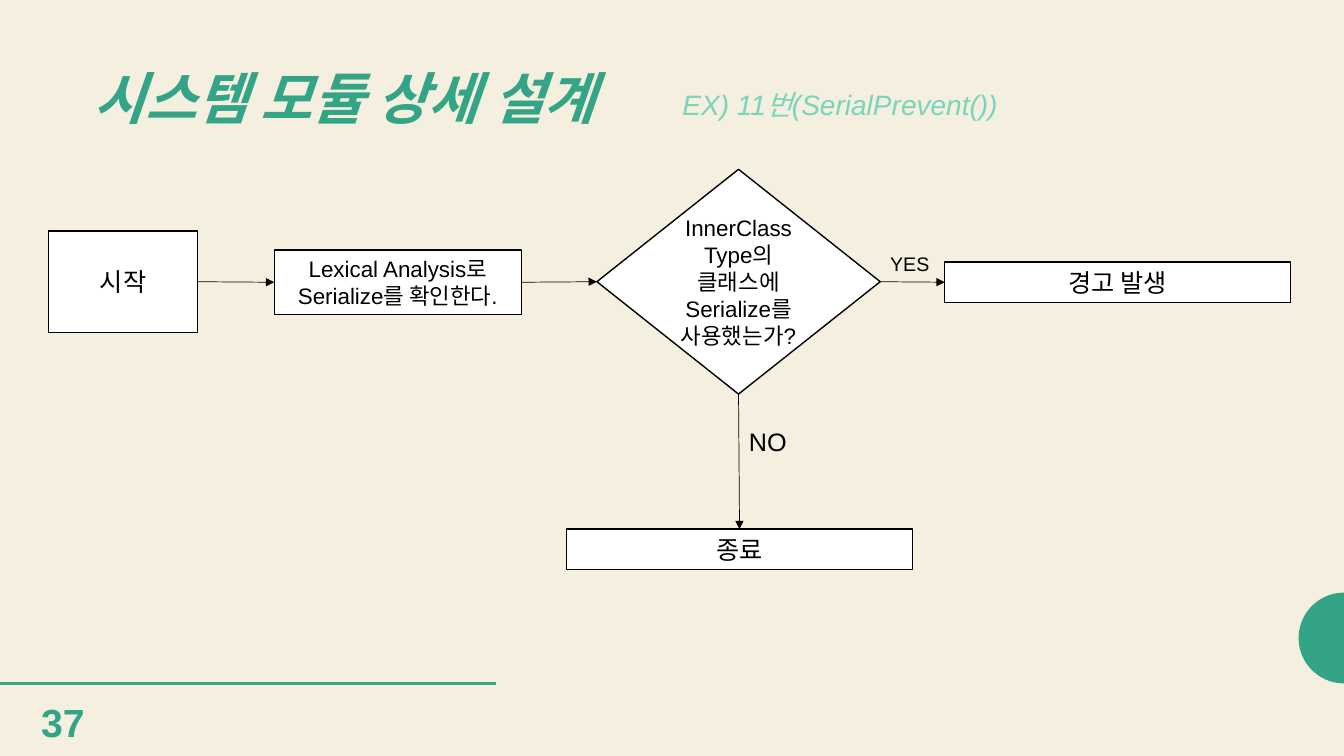
import math
from dataclasses import dataclass

from lxml import etree
from pptx import Presentation
from pptx.dml.color import RGBColor
from pptx.enum.shapes import MSO_CONNECTOR, MSO_SHAPE
from pptx.enum.text import MSO_ANCHOR, PP_ALIGN
from pptx.oxml.ns import qn
from pptx.shapes.autoshape import Shape
from pptx.shapes.connector import Connector
from pptx.slide import Slide
from pptx.util import Inches, Pt

RECTANGLE = MSO_SHAPE.RECTANGLE
DIAMOND = MSO_SHAPE.DIAMOND
STRAIGHT = MSO_CONNECTOR.STRAIGHT
TOP = MSO_ANCHOR.TOP
MIDDLE = MSO_ANCHOR.MIDDLE
LEFT = PP_ALIGN.LEFT
CENTER = PP_ALIGN.CENTER

CREAM = RGBColor(0xF4, 0xEF, 0xDF)
GREEN = RGBColor(0x33, 0xA4, 0x85)
MINT = RGBColor(0x78, 0xD5, 0xBB)
WHITE = RGBColor(0xFF, 0xFF, 0xFF)
BLACK = RGBColor(0, 0, 0)

FONT = "Arial"
SLIDE_WIDTH = 13.33
LEFT_SITE, BOTTOM_SITE, RIGHT_SITE, TOP_SITE = 1, 2, 3, 0


@dataclass(frozen=True)
class Step:
    name: str
    text: str
    left: float
    top: float
    width: float
    height: float
    size: int = 18
    preset: MSO_SHAPE = RECTANGLE


@dataclass(frozen=True)
class Flow:
    source: str
    source_site: int
    target: str
    target_site: int


@dataclass(frozen=True)
class Label:
    text: str
    left: float
    top: float
    width: float
    height: float
    size: int
    color: RGBColor = BLACK
    bold: bool = False
    italic: bool = False


STEPS = [
    Step("start", "시작", 0.48, 2.29, 1.48, 1.01),
    Step("analysis", "Lexical Analysis로 Serialize를 확인한다.", 2.72, 2.48, 2.45, 0.64, 16),
    Step("check", "InnerClass Type의 클래스에 Serialize를 사용했는가?",
         5.92, 1.68, 2.81, 2.23, 16, DIAMOND),
    Step("warning", "경고 발생", 9.37, 2.6, 3.43, 0.4),
    Step("end", "종료", 5.62, 5.25, 3.43, 0.4),
]

FLOWS = [
    Flow("start", RIGHT_SITE, "analysis", LEFT_SITE),
    Flow("analysis", RIGHT_SITE, "check", LEFT_SITE),
    Flow("check", RIGHT_SITE, "warning", LEFT_SITE),
    Flow("check", BOTTOM_SITE, "end", TOP_SITE),
]

LABELS = [
    Label("EX) 11번(SerialPrevent())", 6.67, 0.82, 4.95, 0.59, 20, MINT, italic=True),
    Label("37", 0.31, 6.88, 0.74, 0.57, 28, GREEN, bold=True),
    Label("YES", 8.73, 2.45, 0.61, 0.34, 14),
    Label("NO", 7.33, 4.18, 0.61, 0.4, 18),
]
TITLE = Label("시스템 모듈 상세 설계", 0.83, 0.61, 5.7, 0.79, 40, GREEN, True, True)


def write(box: Shape, label: Label | Step, color: RGBColor, align: PP_ALIGN,
          anchor: MSO_ANCHOR, bold: bool = False, italic: bool = False) -> None:
    frame = box.text_frame
    frame.word_wrap = True
    frame.vertical_anchor = anchor
    para = frame.paragraphs[0]
    para.text = label.text
    para.alignment = align
    para.font.name = FONT
    para.font.size = Pt(label.size)
    para.font.bold = bold
    para.font.italic = italic
    para.font.color.rgb = color


def frame_of(item: Label | Step) -> list[int]:
    return [Inches(value) for value in (item.left, item.top, item.width, item.height)]


def add_title(page: Slide) -> None:
    title = page.shapes.title
    title.left, title.top, title.width, title.height = frame_of(TITLE)
    write(title, TITLE, TITLE.color, LEFT, MIDDLE, TITLE.bold, TITLE.italic)
    title.text_frame.paragraphs[0].line_spacing = 0.9


def add_label(page: Slide, label: Label) -> None:
    box = page.shapes.add_textbox(*frame_of(label))
    write(box, label, label.color, LEFT, TOP, label.bold, label.italic)


def add_step(page: Slide, step: Step) -> Shape:
    box = page.shapes.add_shape(step.preset, *frame_of(step))
    box.shadow.inherit = False
    box.fill.solid()
    box.fill.fore_color.rgb = WHITE
    box.line.color.rgb = BLACK
    box.line.width = Pt(1)
    write(box, step, BLACK, CENTER, MIDDLE)
    return box


def add_line(page: Slide, color: RGBColor, width: float, end_x: float, y: float) -> Connector:
    line = page.shapes.add_connector(STRAIGHT, 0, Inches(y), Inches(end_x), Inches(y))
    line.line.color.rgb = color
    line.line.width = Pt(width)
    etree.SubElement(line._element.spPr, qn("a:effectLst"))
    return line


def add_flow(page: Slide, flow: Flow, boxes: dict[str, Shape]) -> None:
    arrow = add_line(page, BLACK, 0.5, 1, 1)
    arrow.begin_connect(boxes[flow.source], flow.source_site)
    arrow.end_connect(boxes[flow.target], flow.target_site)
    etree.SubElement(arrow.line._get_or_add_ln(), qn("a:tailEnd"), type="triangle")


def add_half_circle(page: Slide) -> None:
    radius, center_y, segments = 0.45, 6.33, 48
    points = []
    for index in range(segments + 1):
        angle = math.pi * index / segments
        points.append((Inches(SLIDE_WIDTH - radius * math.sin(angle)),
                       Inches(center_y - radius * math.cos(angle))))
    builder = page.shapes.build_freeform(*points[0])
    builder.add_line_segments(points[1:], close=True)
    half_circle = builder.convert_to_shape()
    half_circle.shadow.inherit = False
    half_circle.fill.solid()
    half_circle.fill.fore_color.rgb = GREEN
    half_circle.line.fill.background()


def main() -> None:
    deck = Presentation()
    deck.slide_width = Inches(SLIDE_WIDTH)
    deck.slide_height = Inches(7.5)
    page = deck.slides.add_slide(deck.slide_layouts.get_by_name("Title Only"))
    page.background.fill.solid()
    page.background.fill.fore_color.rgb = CREAM
    add_half_circle(page)
    add_line(page, GREEN, 2, 4.92, 6.78)
    add_title(page)
    boxes = {step.name: add_step(page, step) for step in STEPS}
    for flow in FLOWS:
        add_flow(page, flow, boxes)
    for label in LABELS:
        add_label(page, label)
    deck.save("out.pptx")


if __name__ == "__main__":
    main()
